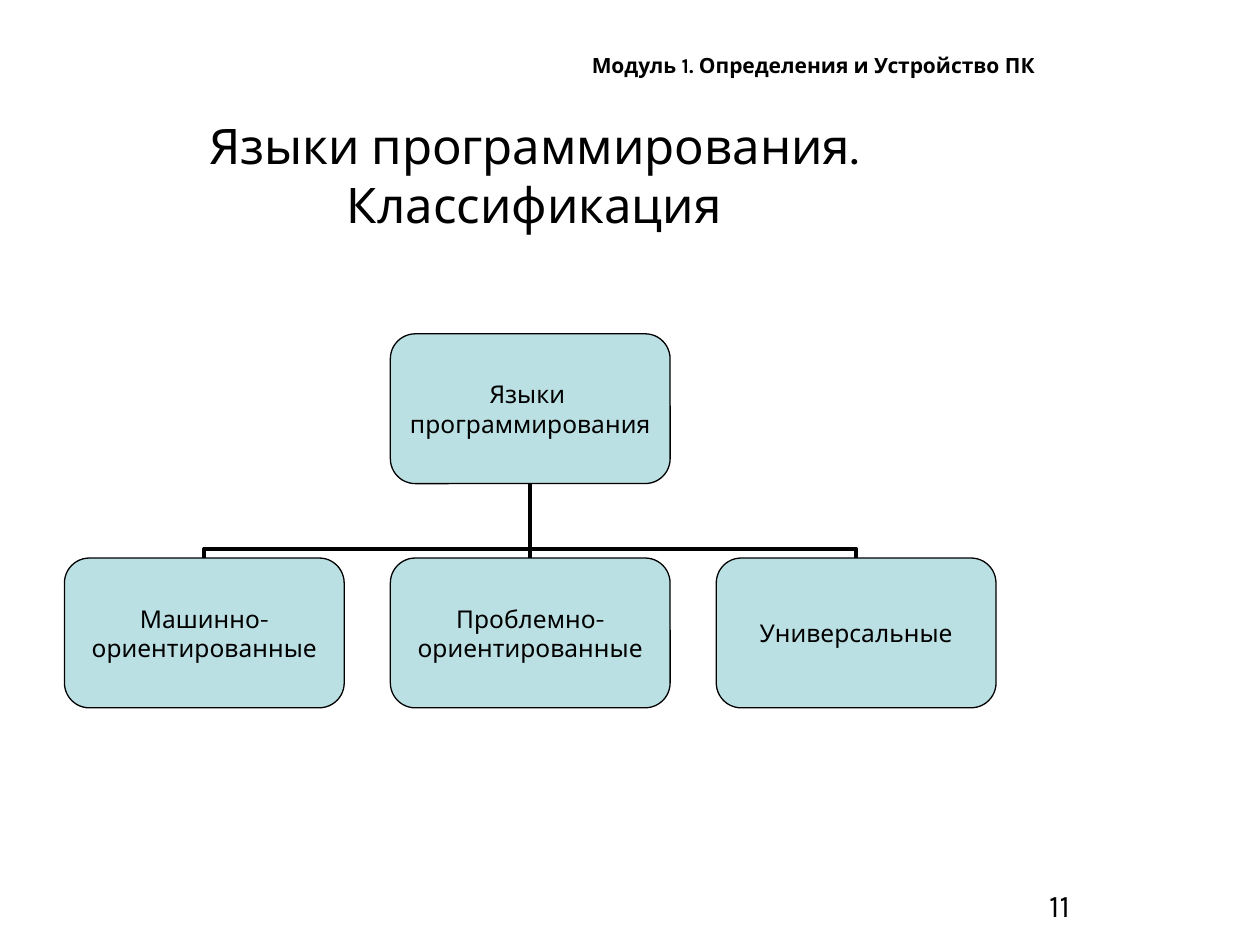
from dataclasses import dataclass

import pptx
import pptx.dml.color
import pptx.enum.shapes
import pptx.enum.text
import pptx.oxml
import pptx.oxml.ns
import pptx.util
from pptx.util import Cm

FONT = "Karla"
INK = "000000"
BOX_FILL = "BBE0E3"
BOX_WIDTH, BOX_HEIGHT = 5.64, 3.02
FIRST_LEFT, PITCH = 1.3, 6.57
ROOT_TOP, KIND_TOP = 6.73, 11.25
BEND = 12800
TOP_SITE, BOTTOM_SITE = 0, 2
ALIGN = pptx.enum.text.PP_ALIGN
MIDDLE = pptx.enum.text.MSO_ANCHOR.MIDDLE
NO_FIT = pptx.enum.text.MSO_AUTO_SIZE.NONE


@dataclass
class Box:
    text: str
    column: int
    top: float


@dataclass
class Label:
    text: str
    left: float
    top: float
    width: float
    height: float
    size: int
    align: int
    bold: bool = False
    wrap: bool = True


ROOT = Box("Языки \nпрограммирования", 1, ROOT_TOP)
KINDS = [
    Box("Машинно-\nориентированные", 0, KIND_TOP),
    Box("Проблемно-\vориентированные", 1, KIND_TOP),
    Box("Универсальные", 2, KIND_TOP),
]
TITLE = Label("Языки программирования. Классификация",
              0.66, 2.54, 20.22, 1.96, 28, ALIGN.CENTER)
LABELS = [
    Label("11", 15.9, 17.73, 5.92, 1.32, 18, ALIGN.RIGHT),
    Label("Модуль 1. Определения и Устройство ПК",
          11.68, 0.94, 9.65, 0.76, 12, ALIGN.LEFT, bold=True, wrap=False),
]


def color(value: str) -> pptx.dml.color.RGBColor:
    return pptx.dml.color.RGBColor.from_string(value)


def apply(target, values: dict) -> None:
    for name, value in values.items():
        setattr(target, name, value)


def write(frame, text: str, size: int, align: int, bold: bool = False) -> None:
    frame.text = text
    font_format = {"name": FONT, "size": pptx.util.Pt(size), "bold": bold}
    for paragraph in frame.paragraphs:
        paragraph.alignment = align
        for run in paragraph.runs:
            apply(run.font, font_format)
            run.font.color.rgb = color(INK)


def draw_title(slide, label: Label) -> None:
    title = slide.shapes.title
    apply(title, {"left": Cm(label.left), "top": Cm(label.top),
                  "width": Cm(label.width), "height": Cm(label.height)})
    write(title.text_frame, label.text, label.size, label.align)
    apply(title.text_frame, {"vertical_anchor": MIDDLE, "word_wrap": True,
                             "auto_size": NO_FIT})


def draw_label(slide, label: Label) -> None:
    frame = slide.shapes.add_textbox(Cm(label.left), Cm(label.top),
                                     Cm(label.width), Cm(label.height)).text_frame
    frame.word_wrap = label.wrap
    write(frame, label.text, label.size, label.align, label.bold)


def draw_box(slide, box: Box):
    shape = slide.shapes.add_shape(
        pptx.enum.shapes.MSO_SHAPE.ROUNDED_RECTANGLE,
        Cm(FIRST_LEFT + box.column * PITCH), Cm(box.top), Cm(BOX_WIDTH), Cm(BOX_HEIGHT))
    shape.shadow.inherit = False
    shape.fill.solid()
    shape.fill.fore_color.rgb = color(BOX_FILL)
    shape.line.color.rgb = color(INK)
    shape.line.width = pptx.util.Pt(0.75)
    apply(shape.text_frame, {"margin_left": 0, "margin_top": 0, "margin_right": 0,
                             "margin_bottom": 0, "word_wrap": False,
                             "vertical_anchor": MIDDLE})
    write(shape.text_frame, box.text, 14, ALIGN.CENTER)
    return shape


def bend_upwards(branch, child, parent) -> None:
    child_x = child.left + child.width // 2
    parent_x = parent.left + parent.width // 2
    parent_bottom = parent.top + parent.height
    rise, run = child.top - parent_bottom, abs(parent_x - child_x)
    apply(branch, {"left": (child_x + parent_x - rise) // 2,
                   "top": (child.top + parent_bottom - run) // 2,
                   "width": rise, "height": run})
    frame = branch.element.spPr.find(pptx.oxml.ns.qn("a:xfrm"))
    for flip in ("flipH", "flipV"):
        frame.attrib.pop(flip, None)
    if child_x > parent_x:
        frame.set("rot", "5400000")
        frame.set("flipH", "1")
    else:
        frame.set("rot", "16200000")
    geometry = branch.element.spPr.find(pptx.oxml.ns.qn("a:prstGeom"))
    for guides in geometry.findall(pptx.oxml.ns.qn("a:avLst")):
        geometry.remove(guides)
    geometry.append(pptx.oxml.parse_xml(
        f'<a:avLst {pptx.oxml.ns.nsdecls("a")}>'
        f'<a:gd name="adj1" fmla="val {BEND}"/></a:avLst>'))


def draw_branch(slide, child, parent) -> None:
    straight = child.left == parent.left
    connector = pptx.enum.shapes.MSO_CONNECTOR
    branch = slide.shapes.add_connector(
        connector.STRAIGHT if straight else connector.ELBOW, 0, 0, 0, 0)
    branch.begin_connect(child, TOP_SITE)
    branch.end_connect(parent, BOTTOM_SITE)
    branch.line.color.rgb = color(INK)
    branch.line.width = pptx.util.Pt(2.25)
    branch.element.spPr.append(
        pptx.oxml.parse_xml(f'<a:effectLst {pptx.oxml.ns.nsdecls("a")}/>'))
    if not straight:
        bend_upwards(branch, child, parent)


def main() -> None:
    deck = pptx.Presentation()
    apply(deck, {"slide_width": Cm(25.4), "slide_height": Cm(19.05)})
    slide = deck.slides.add_slide(deck.slide_layouts[5])
    draw_title(slide, TITLE)
    languages = draw_box(slide, ROOT)
    for kind in KINDS:
        draw_branch(slide, draw_box(slide, kind), languages)
    for label in LABELS:
        draw_label(slide, label)
    deck.save("out.pptx")


if __name__ == "__main__":
    main()
